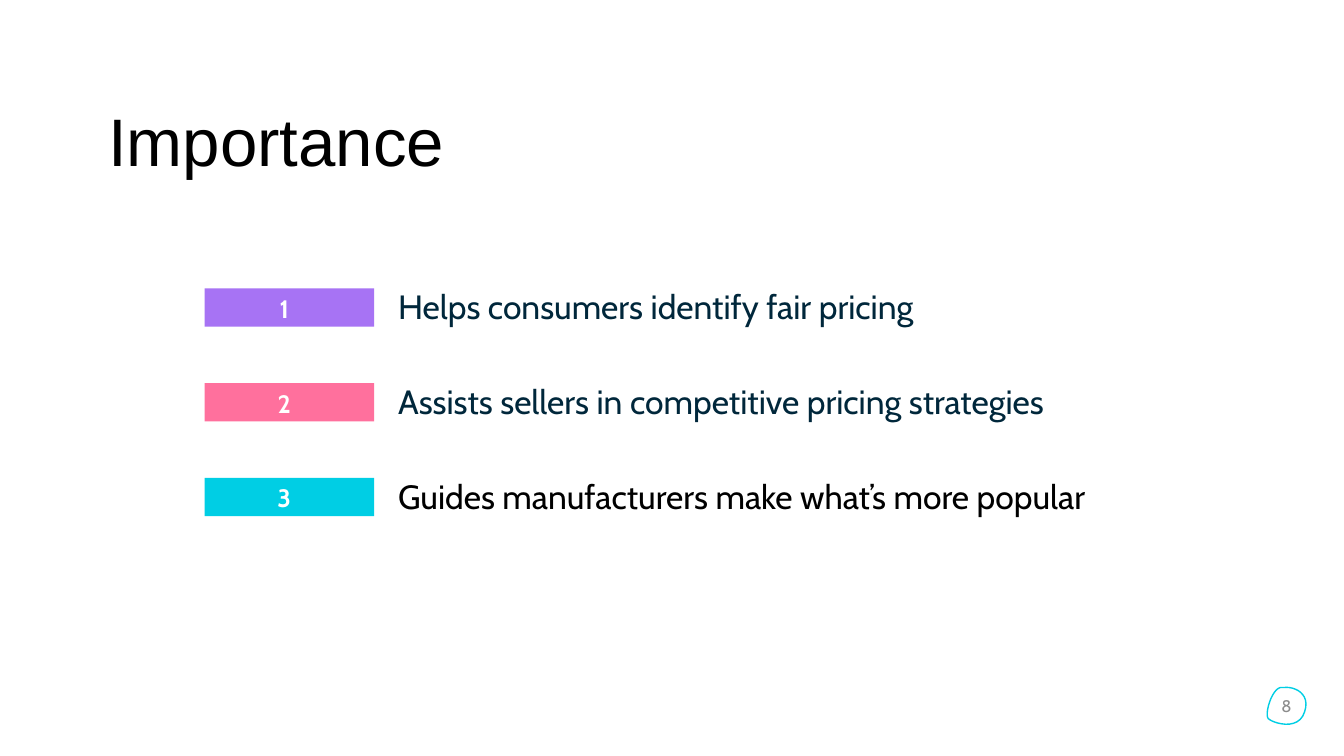
from pptx import Presentation
from pptx.dml.color import RGBColor
from pptx.enum.shapes import MSO_SHAPE
from pptx.enum.text import MSO_ANCHOR, PP_ALIGN
from pptx.util import Inches, Pt

TITLE = "Importance"
PAGE_NUMBER = "8"
REASONS = [
    ("1", "A773F4", "Helps consumers identify fair pricing", "00273B"),
    ("2", "FF709D", "Assists sellers in competitive pricing strategies", "00273B"),
    ("3", "00CEE4", "Guides manufacturers make what’s more popular", "000000"),
]
FIRST_TOP, ROW_STEP, TEXT_RISE = 2.86, 0.94, 0.07
BADGE_COLOR = "00CEE4"
BADGE_CURVES = [
    ((12.74, 6.82), (12.84, 6.81), (13, 6.88), (12.94, 7.06)),
    ((12.94, 7.06), (12.88, 7.26), (12.62, 7.17), (12.58, 7.13)),
    ((12.58, 7.13), (12.54, 7.09), (12.61, 6.84), (12.7, 6.82)),
]
CURVE_STEPS = 12

TITLE_FONT = {"name": "Arial", "size": Pt(48)}
NUMBER_FONT = {"name": "Cabin", "size": Pt(18), "bold": True}
REASON_FONT = {"name": "Cabin", "size": Pt(24)}
PAGE_FONT = {"name": "Cabin", "size": Pt(12)}


def color(hex_string):
    """Turn a hex string into a colour."""
    return RGBColor.from_string(hex_string)


def write(shape, text, font, hex_color, align=PP_ALIGN.CENTER,
          anchor=MSO_ANCHOR.TOP, insets=(0.1, 0.05, 0.1, 0.05)):
    """Put one formatted paragraph into a shape and return it."""
    frame = shape.text_frame
    left, top, right, bottom = map(Inches, insets)
    settings = {"word_wrap": True, "vertical_anchor": anchor,
                "margin_left": left, "margin_top": top,
                "margin_right": right, "margin_bottom": bottom}
    for name, value in settings.items():
        setattr(frame, name, value)
    paragraph = frame.paragraphs[0]
    paragraph.text = text
    paragraph.alignment = align
    for name, value in font.items():
        setattr(paragraph.font, name, value)
    paragraph.font.color.rgb = color(hex_color)
    return paragraph


def curve_points(start, control_1, control_2, end):
    """Sample a cubic curve, leaving out its start."""
    points = []
    for step in range(1, CURVE_STEPS + 1):
        t = step / CURVE_STEPS
        weights = ((1 - t) ** 3, 3 * t * (1 - t) ** 2, 3 * t ** 2 * (1 - t), t ** 3)
        corners = (start, control_1, control_2, end)
        points.append(tuple(
            Inches(sum(weight * corner[axis] for weight, corner in zip(weights, corners)))
            for axis in (0, 1)))
    return points


def add_text(slide, box, *args, **options):
    """Add a text box holding one paragraph."""
    return write(slide.shapes.add_textbox(*map(Inches, box)), *args, **options)


def add_reason(slide, row, number, fill, text, text_color):
    """Add one numbered bar and its reason."""
    top = FIRST_TOP + row * ROW_STEP
    bar = slide.shapes.add_shape(
        MSO_SHAPE.RECTANGLE, *map(Inches, (2.03, top, 1.68, 0.38)))
    bar.shadow.inherit = False
    bar.fill.solid()
    bar.fill.fore_color.rgb = color(fill)
    bar.line.fill.background()
    write(bar, number, NUMBER_FONT, "FFFFFF", insets=(0.1, 0.05, 0.2, 0.05))
    add_text(slide, (3.85, top - TEXT_RISE, 7.61, 0.51), text, REASON_FONT,
             text_color, align=PP_ALIGN.LEFT)


def add_page_badge(slide):
    """Add the outlined pebble with the page number."""
    builder = slide.shapes.build_freeform(*map(Inches, BADGE_CURVES[0][0]))
    points = [point for curve in BADGE_CURVES for point in curve_points(*curve)]
    builder.add_line_segments(points, close=True)
    badge = builder.convert_to_shape()
    badge.shadow.inherit = False
    badge.fill.background()
    badge.line.color.rgb = color(BADGE_COLOR)
    badge.line.width = Pt(1)
    write(badge, PAGE_NUMBER, PAGE_FONT, "8C8C8C",
          anchor=MSO_ANCHOR.MIDDLE, insets=(0, 0, 0, 0))


def main():
    """Build and save the slide."""
    presentation = Presentation()
    presentation.slide_width = Inches(13.33)
    presentation.slide_height = Inches(7.5)
    slide = presentation.slides.add_slide(presentation.slide_layouts[6])
    title = add_text(slide, (0, 0.71, 5.48, 1.45), TITLE, TITLE_FONT, "000000",
                     anchor=MSO_ANCHOR.MIDDLE)
    title.line_spacing = 0.9
    for row, reason in enumerate(REASONS):
        add_reason(slide, row, *reason)
    add_page_badge(slide)
    presentation.save("out.pptx")


if __name__ == "__main__":
    main()
